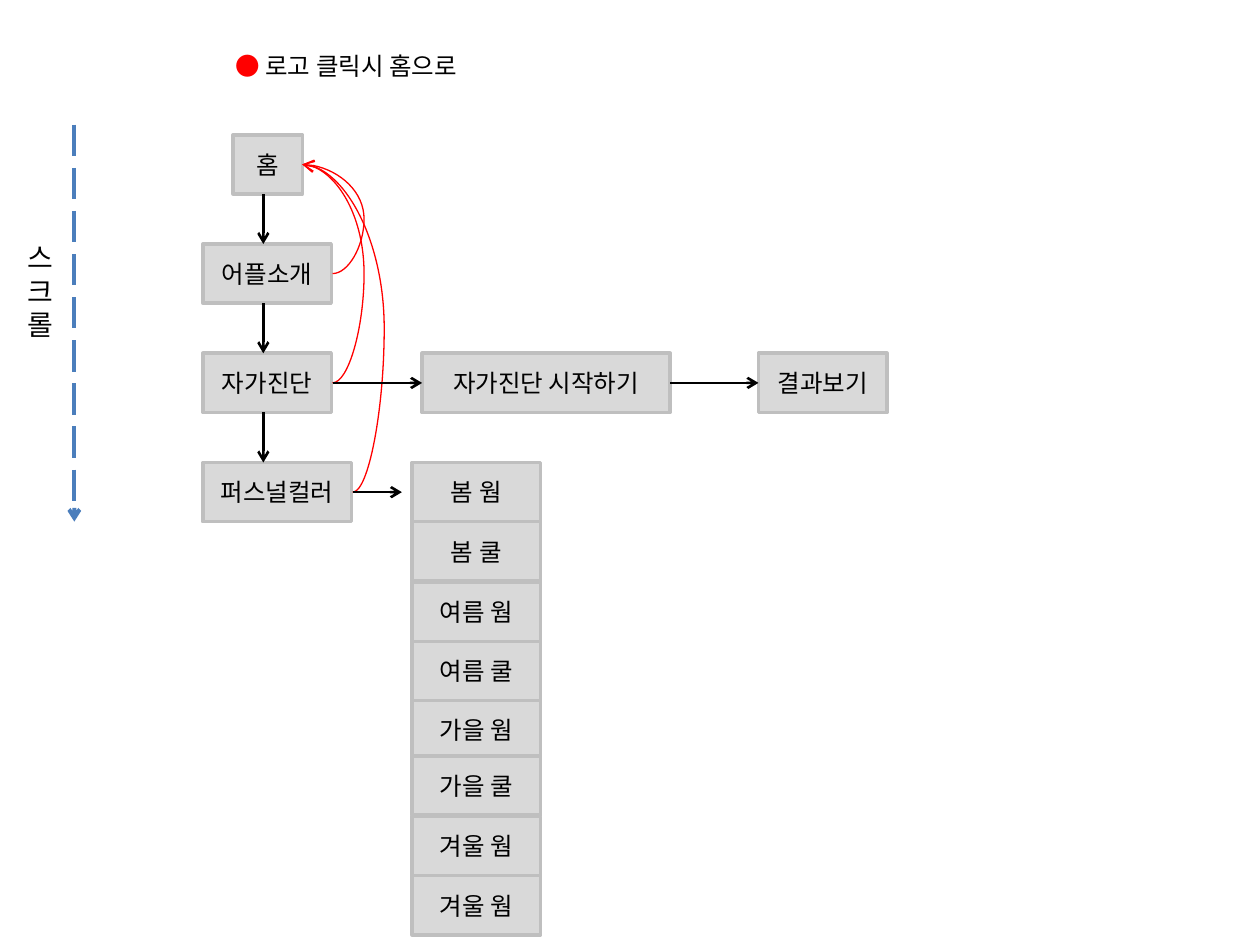
from dataclasses import dataclass

from lxml.etree import SubElement
from pptx import Presentation
from pptx.dml.color import RGBColor as Color
from pptx.enum.dml import MSO_LINE as Dash
from pptx.enum.shapes import MSO_CONNECTOR as Link, MSO_SHAPE as Shape
from pptx.enum.text import MSO_ANCHOR as Anchor, MSO_AUTO_SIZE as AutoSize, PP_ALIGN as Align
from pptx.oxml.ns import qn
from pptx.util import Inches, Pt


@dataclass(frozen=True)
class Theme:
    font: str = "Noto Sans CJK KR"
    ink: str = "000000"
    box_fill: str = "D9D9D9"
    box_edge: str = "BFBFBF"
    scroll: str = "4B7EBC"
    home_link: str = "FF0000"
    text_size: float = 14
    scroll_size: float = 16
    edge_width: float = 2
    arrow_width: float = 1.5
    scroll_width: float = 2.25
    curve_width: float = 0.75


THEME = Theme()

# Flow layout, in inches
BOX_WIDTH, BOX_HEIGHT = 1.02, 0.47
FLOW_LEFT, FLOW_AXIS = 1.61, 2.09
FLOW_TOP, FLOW_STEP = 1.07, 0.867
FLOW_RIGHT = 2.64
HOME_RIGHT = 2.4
CURVE_REACH = 0.25
TONE_LEFT = 3.27

FLOW = [  # label, left, width
    ("홈", 1.85, 0.55),
    ("어플소개", FLOW_LEFT, BOX_WIDTH),
    ("자가진단", FLOW_LEFT, BOX_WIDTH),
    ("퍼스널컬러", FLOW_LEFT, 1.18),
]
DIAGNOSIS = [("자가진단 시작하기", 3.35, 1.97), ("결과보기", 6.02, BOX_WIDTH)]
TONES = [  # label, top
    ("봄 웜", 3.67), ("봄 쿨", 4.14), ("여름 웜", 4.62), ("여름 쿨", 5.09),
    ("가을 웜", 5.56), ("가을 쿨", 6.0), ("겨울 웜", 6.48), ("겨울 웜", 6.95),
]


def apply(target, values):
    for name, value in values.items():
        setattr(target, name, value)


def add_span(para, text, size, color=THEME.ink):
    span = para.add_run()
    span.text = text
    apply(span.font, {"name": THEME.font, "size": Pt(size)})
    span.font.color.rgb = Color.from_string(color)
    # Hangul takes the East Asian typeface
    span.font._element.get_or_change_to_solidFill()
    latin = span.font._element.find(qn("a:latin"))
    east_asian = SubElement(span.font._element, qn("a:ea"), typeface=THEME.font)
    latin.addnext(east_asian)


def add_box(page, label, left, top, width=BOX_WIDTH):
    box = page.shapes.add_shape(
        Shape.RECTANGLE, Inches(left), Inches(top), Inches(width), Inches(BOX_HEIGHT))
    box.shadow.inherit = False
    box.fill.solid()
    box.fill.fore_color.rgb = Color.from_string(THEME.box_fill)
    box.line.color.rgb = Color.from_string(THEME.box_edge)
    box.line.width = Pt(THEME.edge_width)
    apply(box.text_frame, {"word_wrap": True, "vertical_anchor": Anchor.MIDDLE})
    para = box.text_frame.paragraphs[0]
    para.alignment = Align.CENTER
    add_span(para, label, THEME.text_size)


def add_note(page, left, top, width, height, lines, size):
    """Each line is a list of (text, color) spans."""
    note = page.shapes.add_textbox(Inches(left), Inches(top), Inches(width), Inches(height))
    frame = note.text_frame
    apply(frame, {"word_wrap": True, "auto_size": AutoSize.SHAPE_TO_FIT_TEXT})
    for index, spans in enumerate(lines):
        para = frame.add_paragraph() if index else frame.paragraphs[0]
        for text, color in spans:
            add_span(para, text, size, color)


def add_arrow(page, start, end, color=THEME.ink, width=THEME.arrow_width,
              dash=None, kind=Link.STRAIGHT):
    arrow = page.shapes.add_connector(kind, *map(Inches, (*start, *end)))
    arrow.line.color.rgb = Color.from_string(color)
    apply(arrow.line, {"width": Pt(width), "dash_style": dash})
    properties = arrow.element.spPr
    SubElement(properties.find(qn("a:ln")), qn("a:tailEnd"), type="arrow")
    SubElement(properties, qn("a:effectLst"))
    return arrow


def add_home_curve(page, start, home):
    curve = add_arrow(page, start, home, THEME.home_link, THEME.curve_width, kind=Link.CURVE)
    # The bend lies a fixed reach to the right of the start
    bend = -round(CURVE_REACH / (start[0] - home[0]) * 100000)
    geometry = curve.element.spPr.find(qn("a:prstGeom"))
    guides = geometry.find(qn("a:avLst"))
    if guides is None:
        guides = SubElement(geometry, qn("a:avLst"))
    SubElement(guides, qn("a:gd"), name="adj1", fmla=f"val {bend}")


def main():
    deck = Presentation()
    apply(deck, {"slide_width": Inches(10), "slide_height": Inches(7.5)})
    page = deck.slides.add_slide(deck.slide_layouts[6])
    tops = [FLOW_TOP + FLOW_STEP * row for row in range(len(FLOW))]
    middles = [top + BOX_HEIGHT / 2 for top in tops]

    # Main flow, top to bottom
    for (label, left, width), top in zip(FLOW, tops):
        add_box(page, label, left, top, width)
    for above, below in zip(tops, tops[1:]):
        add_arrow(page, (FLOW_AXIS, above + BOX_HEIGHT), (FLOW_AXIS, below))

    # Scroll direction
    add_arrow(page, (0.59, 0.99), (0.59, 4.14), THEME.scroll, THEME.scroll_width, Dash.LONG_DASH)
    add_note(page, 0.12, 1.86, 0.35, 0.94,
             [[(letter, THEME.ink)] for letter in "스크롤"], THEME.scroll_size)

    # Links back to home
    for row, right in ((1, FLOW_RIGHT), (3, 2.8), (2, FLOW_RIGHT)):
        add_home_curve(page, (right, middles[row]), (HOME_RIGHT, middles[0]))
    add_note(page, 1.77, 0.36, 2.6, 0.34,
             [[("● ", THEME.home_link), ("로고 클릭시 홈으로", THEME.ink)]], THEME.text_size)

    # Self-diagnosis branch
    right = FLOW_RIGHT
    for label, left, width in DIAGNOSIS:
        add_box(page, label, left, tops[2], width)
        add_arrow(page, (right, middles[2]), (left, middles[2]))
        right = left + width

    # Personal colour branch
    add_arrow(page, (2.8, middles[3]), (3.19, middles[3]))
    for label, top in TONES:
        add_box(page, label, TONE_LEFT, top)

    deck.save("out.pptx")


main()
